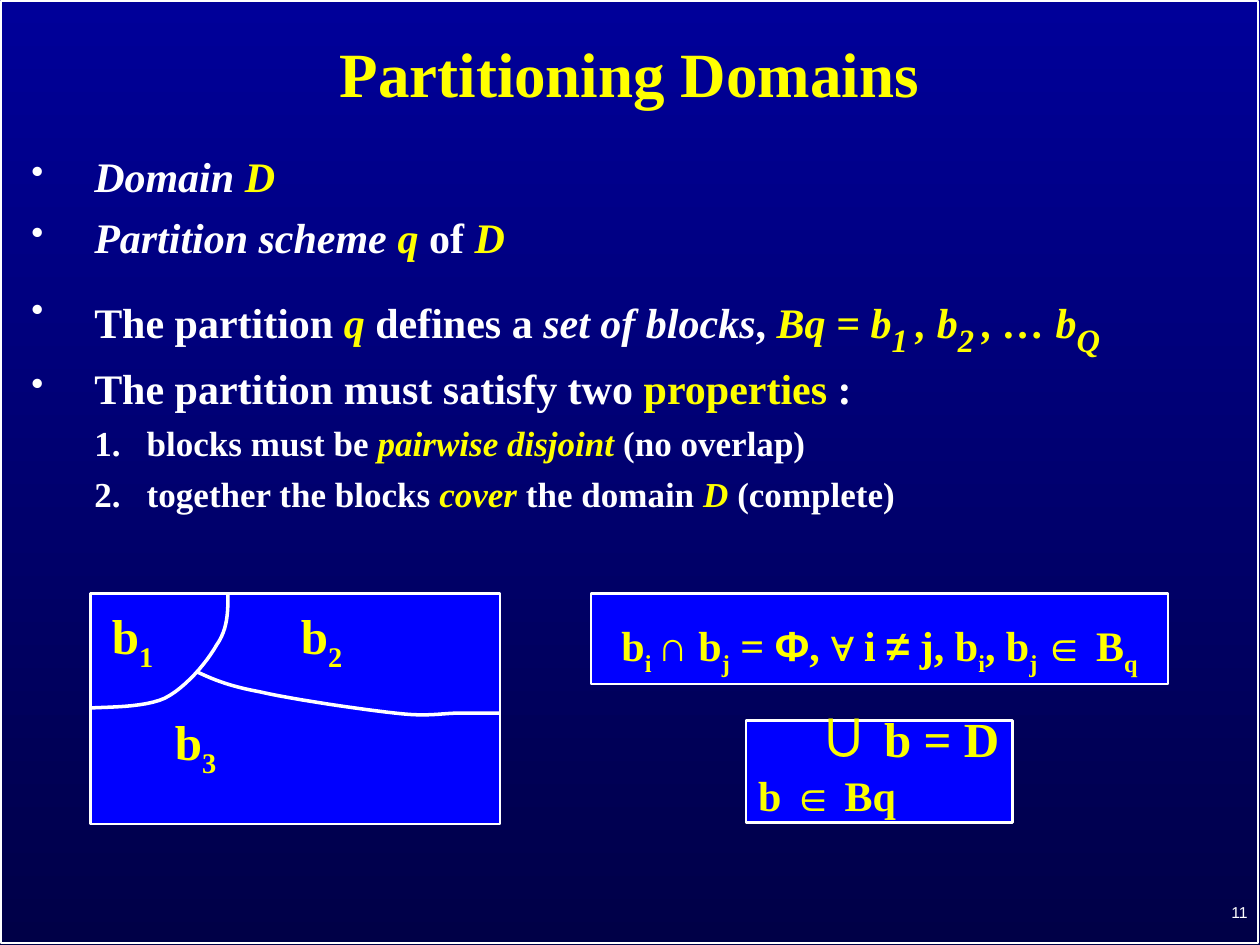
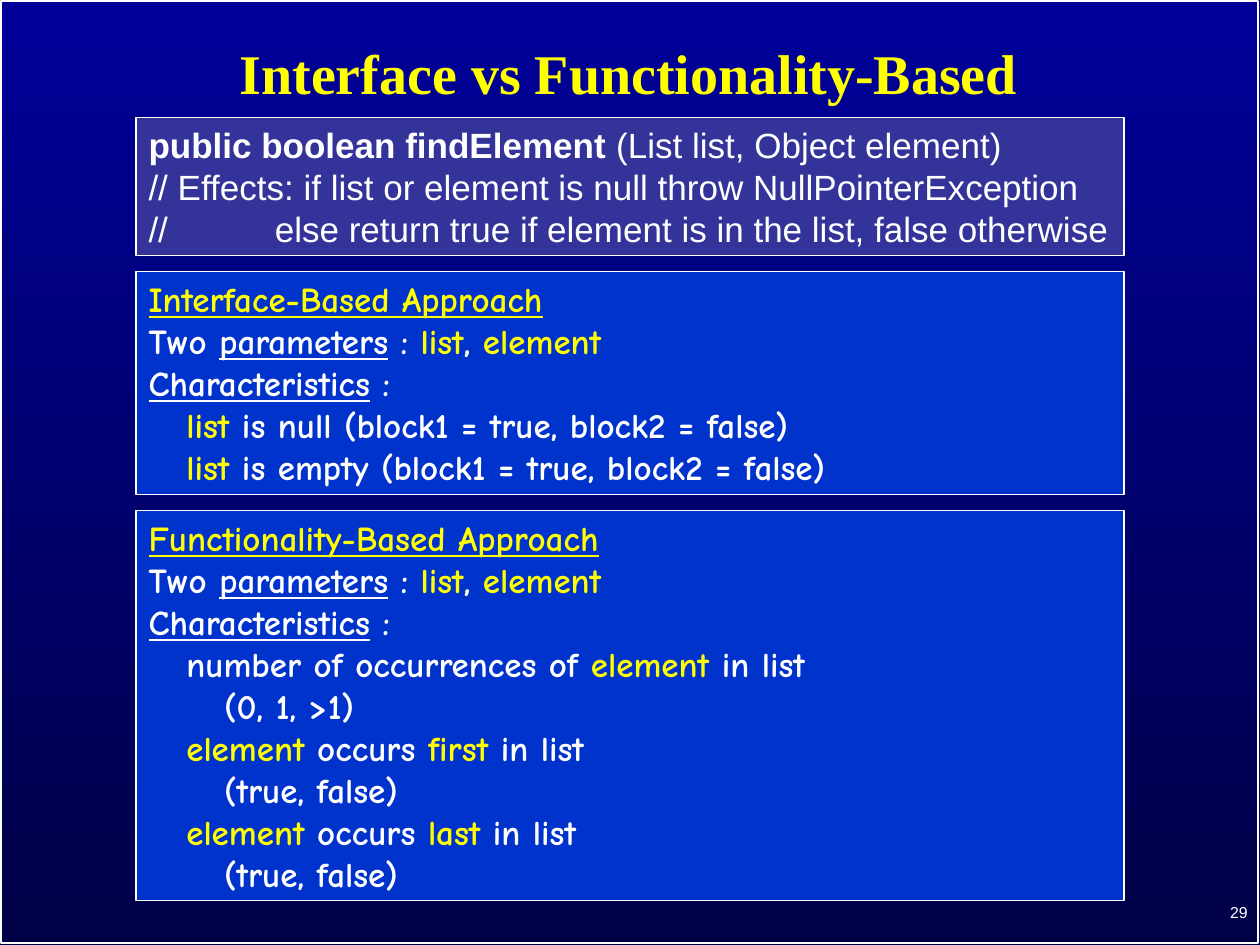
from dataclasses import dataclass
from functools import partial
from typing import NamedTuple

from lxml.etree import SubElement as Sub
from pptx import Presentation
from pptx.dml.color import RGBColor as Rgb
from pptx.enum.shapes import MSO_SHAPE as Kind
from pptx.enum.text import MSO_ANCHOR as Anchor, PP_ALIGN as Align
from pptx.oxml.ns import qn
from pptx.util import Pt

HUES = {
    "white": "FFFFFF", "yellow": "FFFF00", "gold": "FAFD00",
    "top": "000099", "foot": "000047",
    "blue": "0000FF", "slate": "333399", "royal": "0033CC",
}
SERIF, SANS, COMIC = "Times New Roman", "Arial", "Comic Neue"


class Box(NamedTuple):
    left: float
    top: float
    width: float
    height: float


@dataclass
class Look:
    """Type style of a whole block of text."""
    size: float
    face: str = SERIF
    bold: bool = True
    align: Align = Align.LEFT
    anchor: Anchor = Anchor.TOP


@dataclass
class Bit:
    """A run; size, face and bold fall back on the block's look."""
    text: str
    hue: str = "white"
    ital: bool = False
    line: bool = False
    sub: bool = False
    size: float | None = None
    face: str | None = None
    bold: bool | None = None


@dataclass
class Para:
    bits: list[Bit]
    before: float = 0
    space: float = 1
    left: float = 0
    hang: float = 0
    mark: str = ""
    tabs: tuple[float, ...] = ()


class Panel(NamedTuple):
    height: float
    fill: str
    look: Look
    paras: list[Para]


lit = partial(Bit, hue="yellow")
slant = partial(Bit, ital=True)
key = partial(Bit, hue="yellow", ital=True)
low = partial(Bit, hue="yellow", sub=True)
sign = partial(Bit, hue="yellow", face=SANS)
point = partial(Para, before=9, space=0.9, left=36, hang=36, mark="•")
step = partial(Para, before=7.5, space=0.9, left=66, hang=30, mark="1.")
nest = partial(Para, left=21.6)
deep = partial(Para, left=43.2)

FRAME = Box(0.7, 0.7, 718, 538)
NUMBER = Box(570.2, 506.9, 149.8, 28.8)
LIST = Box(10.8, 85.7, 698.4, 251.3)
MAP = Box(51.8, 339.1, 234, 131.8)
RULE = Box(337.7, 339.1, 329.8, 51.8)
COVER = Box(426.2, 411.8, 152.6, 58.3)
LABELS = {"1": (56.9, 342.7), "2": (164.9, 342.7), "3": (92.9, 403.2)}
# Each border is a start point, then two handles and an end per curve.
BORDERS = [
    [(130.3, 339.1), (130.3, 349.2), (130.3, 359.3), (123.8, 368.6),
     (118.1, 378.7), (105.8, 393.1), (94.3, 398.9),
     (82.1, 404.6), (59, 403.9), (51.8, 404.6)],
    [(112.3, 383.8), (120.2, 387.4), (128.9, 391.7), (148.3, 395.3),
     (167, 399.6), (206.6, 405.4), (226.1, 407.5),
     (244.8, 409.7), (252, 407.5), (262.1, 407.5),
     (272.2, 407.5), (282.2, 407.5), (285.8, 407.5)],
]

POINTS = [
    point([slant("Domain "), key("D")]),
    point([slant("Partition scheme "), key("q"), Bit(" of "), key("D")]),
    point([Bit("The partition "), key("q"), Bit(" defines a "),
           slant("set of blocks"), Bit(", "), key("Bq = b"),
           key("1 ", sub=True, size=32), key(", b"),
           key("2 ", sub=True, size=32), key(", … b"),
           key("Q", sub=True, size=32)], before=12),
    point([Bit("The partition must satisfy two "), lit("properties"),
           Bit(" :")]),
    step([Bit("blocks must be ", size=20),
          key("pairwise disjoint ", size=20), Bit("(no overlap)", size=20)]),
    step([Bit("together the blocks ", size=20), key("cover", size=20),
          Bit(" the domain ", size=20), key("D", size=20),
          Bit(" (complete)", size=20)]),
]
DISJOINT = [Para([
    lit("b"), low("i "), sign("∩"), lit(" b"), low("j"), lit(" = "),
    sign("Φ"), lit(", "), sign("∀", hue="gold"), Bit(" ", "gold", size=20),
    lit("i "), sign("≠"), lit(" j, b"), low("i"), lit(", b"), low("j "),
    sign("∈"), lit(" B"), low("q")], space=1.35)]
UNION = [
    Para([Bit("\t∪", "gold", size=36, face=SANS),
          Bit("\tb = D", "gold", size=28)], space=0.5, tabs=(18, 65.4)),
    Para([Bit("b ", "gold"), sign("∈", hue="gold"), Bit(" Bq", "gold")],
         before=15, space=0.5),
]


def intro(name: str) -> list[Para]:
    """Opening lines that both approaches share."""
    return [
        Para([lit(name, line=True)]),
        Para([Bit("Two "), Bit("parameters", line=True), Bit(" : "),
              lit("list"), Bit(", "), lit("element")]),
        Para([Bit("Characteristics", line=True), Bit(" :")]),
    ]


def state(word: str) -> Para:
    return nest([lit("list"),
                 Bit(f" is {word} (block1 = true, block2 = false)")])


def place(word: str) -> list[Para]:
    return [nest([lit("element"), Bit(" occurs "), lit(word),
                  Bit(" in list")]),
            deep([Bit("(true, false)")])]


PANELS = [
    Panel(79.2, "slate", Look(20, SANS, bold=False), [
        Para([Bit("public boolean findElement ", bold=True),
              Bit("(List list, Object element)")]),
        Para([Bit("// Effects: if list or element is null "
                  "throw NullPointerException")]),
        Para([Bit("//           else return true if element is in "
                  "the list, false otherwise")]),
    ]),
    Panel(127.4, "royal", Look(20, COMIC), [
        *intro("Interface-Based Approach"), state("null"), state("empty")]),
    Panel(223.2, "royal", Look(20, COMIC), [
        *intro("Functionality-Based Approach"),
        nest([Bit("number of occurrences of "), lit("element"),
              Bit(" in list")]),
        deep([Bit("(0, 1, >1)")]),
        *place("first"), *place("last"),
    ]),
]


def tint(name: str) -> Rgb:
    return Rgb.from_string(HUES[name])


def points(box: Box) -> list[Pt]:
    return [Pt(num) for num in box]


def mark_up(para, item: Para) -> None:
    """Set indents, bullet and tab stops."""
    props = para._p.get_or_add_pPr()
    props.set("marL", str(Pt(item.left)))
    props.set("indent", str(Pt(-item.hang)))
    if item.mark:
        Sub(Sub(props, qn("a:buClr")), qn("a:srgbClr"), val=HUES["white"])
    if item.mark == "•":
        Sub(props, qn("a:buSzPct"), val="85000")
        Sub(props, qn("a:buChar"), char=item.mark)
    elif item.mark:
        Sub(props, qn("a:buAutoNum"), type="arabicPeriod")
    if item.tabs:
        stops = Sub(props, qn("a:tabLst"))
        for pos in item.tabs:
            Sub(stops, qn("a:tab"), pos=str(Pt(pos)), algn="l")


def style(run, bit: Bit, look: Look) -> None:
    font = run.font
    font.size = Pt(bit.size or look.size)
    font.name = bit.face or look.face
    font.bold = look.bold if bit.bold is None else bit.bold
    font.italic, font.underline = bit.ital, bit.line
    font.color.rgb = tint(bit.hue)
    if bit.sub:
        run._r.get_or_add_rPr().set("baseline", "-25000")


def write(shape, items: list[Para], look: Look) -> None:
    frame = shape.text_frame
    frame.word_wrap = True
    frame.vertical_anchor = look.anchor
    for num, item in enumerate(items):
        para = frame.add_paragraph() if num else frame.paragraphs[0]
        mark_up(para, item)
        para.alignment = look.align
        para.line_spacing = item.space
        para.space_before = Pt(item.before if num else 0)
        for bit in item.bits:
            run = para.add_run()
            run.text = bit.text
            style(run, bit, look)


def add_text(shapes, box: Box, items: list[Para], look: Look) -> None:
    write(shapes.add_textbox(*points(box)), items, look)


def trim(shape, fill: str | None, width: float) -> None:
    """Give a shape its fill, white outline and no shadow."""
    shape.shadow.inherit = False
    if fill:
        shape.fill.solid()
        shape.fill.fore_color.rgb = tint(fill)
    else:
        shape.fill.background()
    shape.line.color.rgb = tint("white")
    shape.line.width = Pt(width)


def add_rect(shapes, box: Box, fill: str | None, width: float):
    rect = shapes.add_shape(Kind.RECTANGLE, *points(box))
    trim(rect, fill, width)
    return rect


def bend(knots: list[tuple[float, float]], count: int = 12) -> list[tuple]:
    """Sample a chain of cubic curves."""
    trail = []
    for at in range(0, len(knots) - 1, 3):
        quad = knots[at:at + 4]
        for num in range(1, count + 1):
            t = num / count
            share = ((1 - t) ** 3, 3 * t * (1 - t) ** 2,
                     3 * t * t * (1 - t), t ** 3)
            trail.append(tuple(
                Pt(sum(w * knot[axis] for w, knot in zip(share, quad)))
                for axis in (0, 1)))
    return trail


def add_curve(shapes, knots: list[tuple[float, float]]) -> None:
    pen = shapes.build_freeform(*(Pt(num) for num in knots[0]))
    pen.add_line_segments(bend(knots), close=False)
    trim(pen.convert_to_shape(), None, 2)


def add_slide(deck, title: str, box: Box, size: float, number: str):
    """Start a slide with backdrop, frame, number and title."""
    slide = deck.slides.add_slide(deck.slide_layouts[5])
    fill = slide.background.fill
    fill.gradient()
    fill.gradient_angle = 270
    for stop, name in zip(fill.gradient_stops, ("top", "foot")):
        stop.color.rgb = tint(name)
    add_rect(slide.shapes, FRAME, None, 1)
    add_text(slide.shapes, NUMBER, [Para([Bit(number)])],
             Look(9, SANS, False, Align.RIGHT, Anchor.MIDDLE))
    head = slide.shapes.title
    head.left, head.top, head.width, head.height = points(box)
    write(head, [Para([lit(title)], space=0.9)],
          Look(size, align=Align.CENTER, anchor=Anchor.MIDDLE))
    return slide


def add_domains(deck) -> None:
    slide = add_slide(deck, "Partitioning Domains",
                      Box(10.8, 7.9, 697.7, 72), 36, "11")
    shapes = slide.shapes
    add_text(shapes, LIST, POINTS, Look(24))
    write(add_rect(shapes, RULE, "blue", 1.5), DISJOINT,
          Look(24, align=Align.CENTER))
    group = shapes.add_group_shape().shapes
    add_rect(group, MAP, "blue", 1.5)
    for knots in BORDERS:
        add_curve(group, knots)
    for num, spot in LABELS.items():
        add_text(group, Box(*spot, 54, 45.4),
                 [Para([lit("b"), low(num)])], Look(28))
    write(add_rect(shapes, COVER, "blue", 1.5), UNION, Look(24))


def add_compare(deck) -> None:
    slide = add_slide(deck, "Interface vs Functionality-Based",
                      Box(34.6, 7.9, 649.4, 72), 32, "29")
    top, gap = 67, 9
    for panel in PANELS:
        box = Box(77.8, top, 564.5, panel.height)
        write(add_rect(slide.shapes, box, panel.fill, 0.75),
              panel.paras, panel.look)
        top += panel.height + gap


def main() -> None:
    deck = Presentation()
    deck.slide_width, deck.slide_height = Pt(720), Pt(540)
    add_domains(deck)
    add_compare(deck)
    deck.save("out.pptx")


if __name__ == "__main__":
    main()
